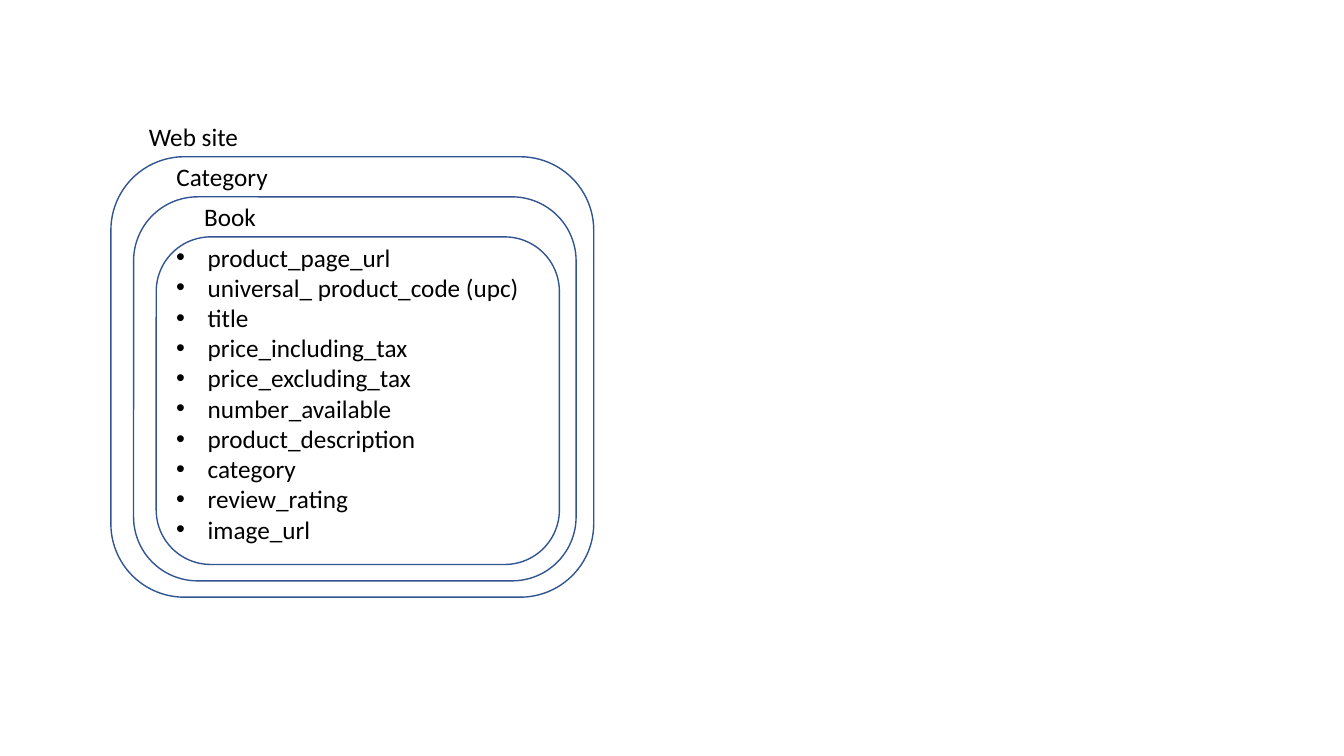
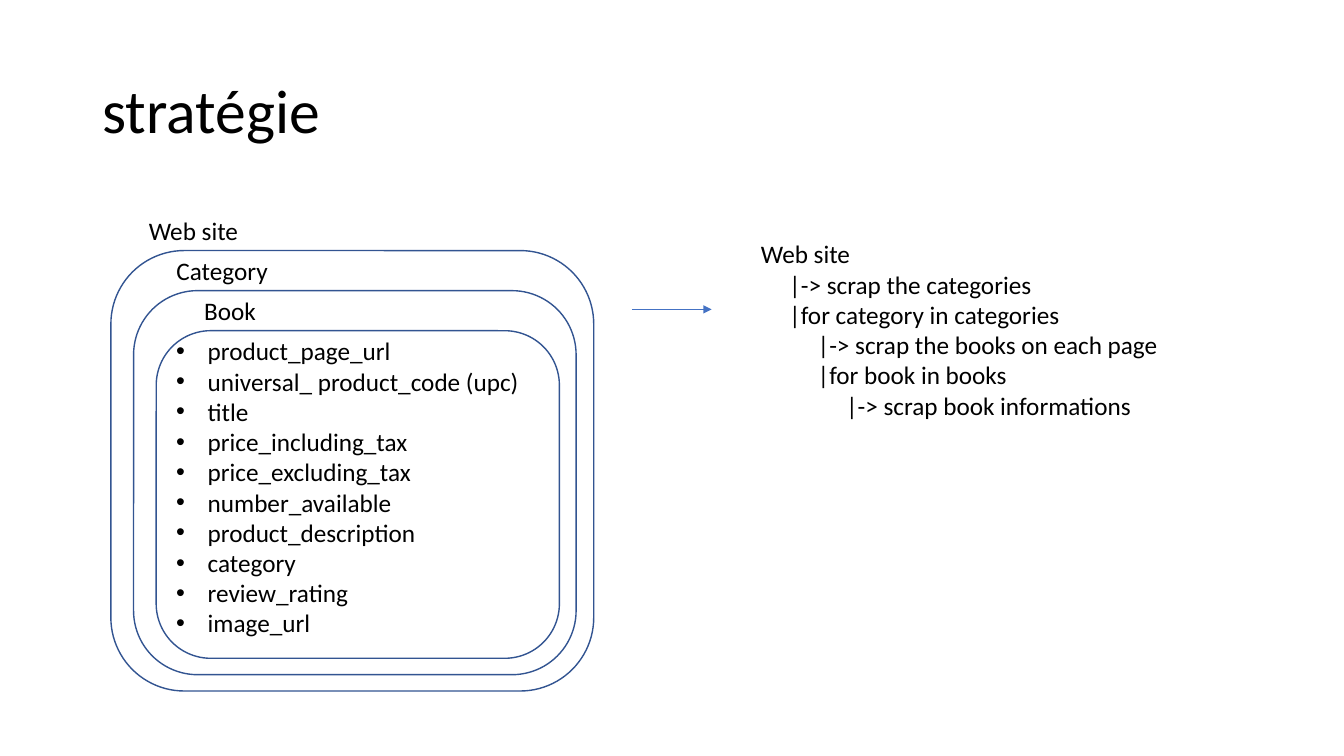
from lxml import etree
from pptx import Presentation
from pptx.dml.color import RGBColor
from pptx.enum.shapes import MSO_CONNECTOR as Connector, MSO_SHAPE as Shape
from pptx.enum.text import MSO_ANCHOR as Anchor, MSO_AUTO_SIZE as AutoSize
from pptx.oxml.ns import qn
from pptx.util import Pt

FONT = "Calibri"
BLACK, OUTLINE, ARROW = "000000", "325491", "4472C4"
LABEL_SIZE, TITLE_SIZE = 18, 44
BULLET_INDENT = 22.5
CODE_INDENT = 20.3
LEVEL_STEP = 28.6  # vertical distance between nested levels

# Nested levels from outside in: label, box width, box height
LEVELS = [
    ("Web site", 344.9, 314.6),
    ("Category", 316.1, 274.3),
    ("Book", 288, 234),
]
FIELDS = [
    "product_page_url",
    "universal_ product_code (upc)",
    "title",
    "price_including_tax",
    "price_excluding_tax",
    "number_available",
    "product_description",
    "category",
    "review_rating",
    "image_url",
]
# Scraping steps: indent level, text
STEPS = [
    (0, "Web site"),
    (1, "|-> scrap the categories"),
    (1, "|for category in categories"),
    (2, "|-> scrap the books on each page"),
    (2, "|for book in books"),
    (3, "|-> scrap book informations"),
]


def color(hex_code):
    return RGBColor.from_string(hex_code)


def add_text(slide, left, top, width, height, lines, size=LABEL_SIZE):
    text_box = slide.shapes.add_textbox(Pt(left), Pt(top), Pt(width), Pt(height))
    text_frame = text_box.text_frame
    text_frame.text = "\n".join(lines)
    text_frame.word_wrap = True
    text_frame.auto_size = AutoSize.SHAPE_TO_FIT_TEXT
    for paragraph in text_frame.paragraphs:
        font = paragraph.runs[0].font
        font.name, font.size = FONT, Pt(size)
        font.color.rgb = color(BLACK)
    return text_frame


presentation = Presentation()
presentation.slide_width, presentation.slide_height = Pt(960), Pt(540)
blank_layout = presentation.slide_layouts[6]

# Both slides: nested diagram, starting at its own height
for diagram_top in (83.4, 150.4):
    slide = presentation.slides.add_slide(blank_layout)
    for level, (label, width, height) in enumerate(LEVELS):
        label_top = diagram_top + level * LEVEL_STEP
        box = slide.shapes.add_shape(
            Shape.ROUNDED_RECTANGLE, Pt(79.2 + level * 16.2),
            Pt(label_top + LEVEL_STEP), Pt(width), Pt(height))
        box.shadow.inherit = False
        box.fill.background()
        box.line.color.rgb = color(OUTLINE)
        box.line.width = Pt(1)
        add_text(slide, 99.2 + level * 19.8, label_top, 113, 28.8, [label])

    # Bulleted book fields
    fields = add_text(slide, 118.8, diagram_top + len(LEVELS) * LEVEL_STEP,
                      260, 225.4, FIELDS)
    for paragraph in fields.paragraphs:
        properties = paragraph._p.get_or_add_pPr()
        properties.set("marL", str(Pt(BULLET_INDENT)))
        properties.set("indent", str(-Pt(BULLET_INDENT)))
        etree.SubElement(properties, qn("a:buFont"), typeface="Arial")
        etree.SubElement(properties, qn("a:buChar"), char="•")

# Second slide: title
title = add_text(slide, 66, 28.8, 828, 104.4, ["stratégie"], TITLE_SIZE)
title.auto_size = AutoSize.NONE
title.vertical_anchor = Anchor.MIDDLE
title.paragraphs[0].line_spacing = 0.9

# Second slide: arrow from diagram to steps
arrow = slide.shapes.add_connector(
    Connector.STRAIGHT, Pt(451.4), Pt(221), Pt(508.3), Pt(221))
arrow.line.color.rgb = color(ARROW)
arrow.line.width = Pt(0.5)
etree.SubElement(arrow.line._get_or_add_ln(), qn("a:tailEnd"), type="triangle")
etree.SubElement(arrow._element.spPr, qn("a:effectLst"))

# Second slide: scraping steps, indented by level
steps = add_text(slide, 536.4, 167, 372.2, 138.2, [text for _, text in STEPS])
for paragraph, (level, _) in zip(steps.paragraphs, STEPS):
    paragraph._p.get_or_add_pPr().set("marL", str(Pt(level * CODE_INDENT)))

presentation.save("out.pptx")
